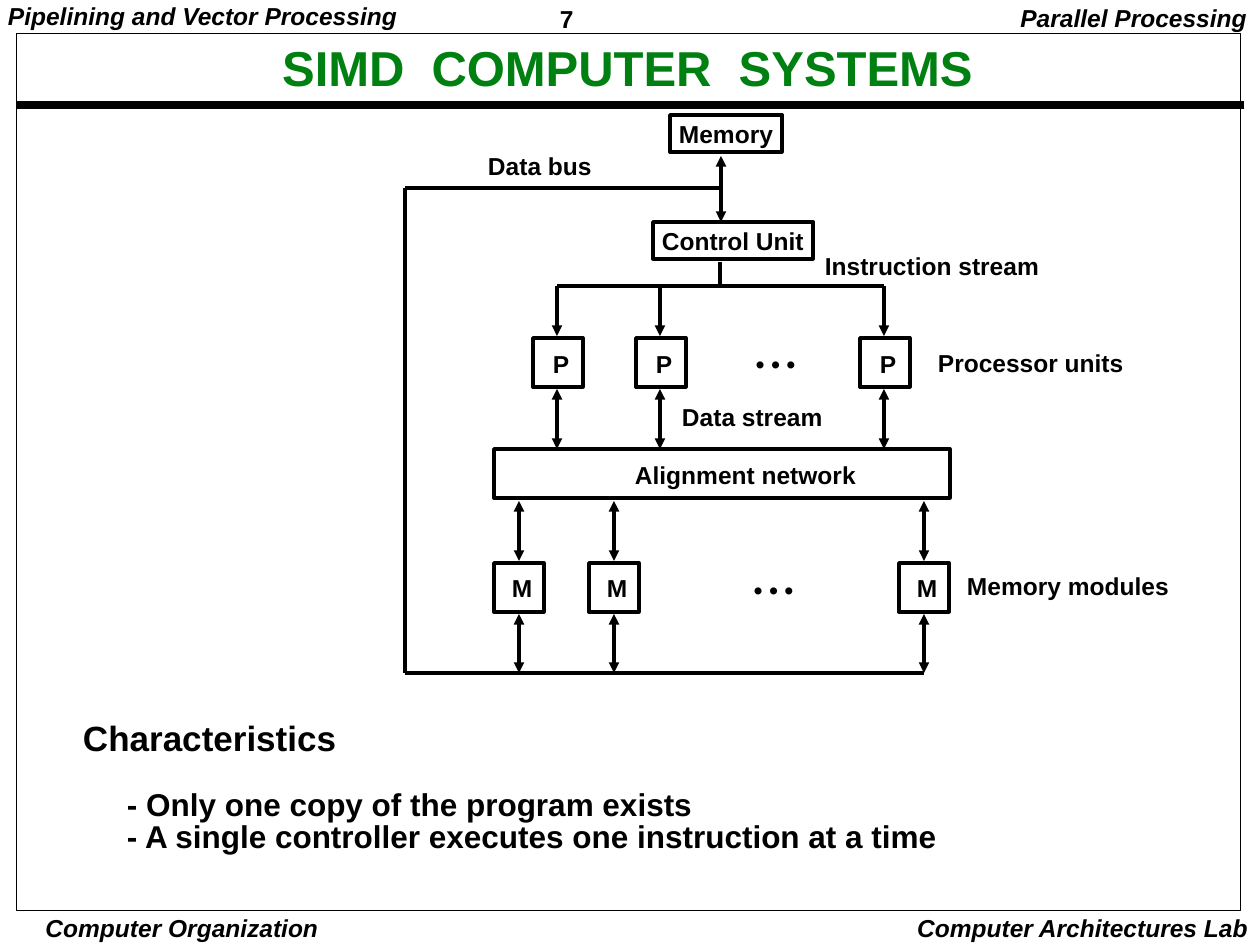
import pptx
import pptx.dml.color
import pptx.enum.shapes
import pptx.enum.text
import pptx.oxml.ns
import pptx.util
from lxml import etree

PX = 914400 // 126
BLACK, GREEN = "000000", "008011"
ALIGN = pptx.enum.text.PP_ALIGN
ANCHOR = pptx.enum.text.MSO_ANCHOR


def px(length):
    """Turn whole pixels into EMU."""
    return pptx.util.Emu(length * PX)


def color(hex_code):
    """Turn a hex string into a colour."""
    return pptx.dml.color.RGBColor.from_string(hex_code)


def write(frame, text, size=14, hue=BLACK, italic=False, align=ALIGN.LEFT,
          anchor=ANCHOR.TOP, spacing=0.9, insets=(9, 4, 0, 4)):
    """Fill a text frame with one formatted paragraph for each line of text."""
    frame.word_wrap = True
    frame.vertical_anchor = anchor
    frame.margin_left, frame.margin_top, frame.margin_right, frame.margin_bottom = map(px, insets)
    frame.text = text
    for paragraph in frame.paragraphs:
        paragraph.alignment = align
        paragraph.line_spacing = spacing
        font = paragraph.font
        font.name, font.size = "Arial", pptx.util.Pt(size)
        font.bold, font.italic = True, italic
        font.color.rgb = color(hue)


def label(slide, text, left, top, width, height=34, **style):
    """Place a text box and return its text frame."""
    caption = slide.shapes.add_textbox(px(left), px(top), px(width), px(height))
    write(caption.text_frame, text, **style)
    return caption.text_frame


def node(slide, left, top, width, height, text="", weight=2, **style):
    """Draw an unfilled outlined rectangle, with text if given."""
    outline = slide.shapes.add_shape(
        pptx.enum.shapes.MSO_SHAPE.RECTANGLE, px(left), px(top), px(width), px(height))
    outline.shadow.inherit = False
    outline.fill.background()
    outline.line.color.rgb = color(BLACK)
    outline.line.width = pptx.util.Pt(weight)
    if text:
        write(outline.text_frame, text, **style)


def link(slide, x1, y1, x2, y2, weight=2, ends=()):
    """Draw a straight line with triangles at the named ends."""
    wire = slide.shapes.add_connector(
        pptx.enum.shapes.MSO_CONNECTOR.STRAIGHT, px(x1), px(y1), px(x2), px(y2))
    wire.line.color.rgb = color(BLACK)
    wire.line.width = pptx.util.Pt(weight)
    for end in ends:
        etree.SubElement(wire.line._ln, pptx.oxml.ns.qn(f"a:{end}"), type="triangle")
    etree.SubElement(wire._element.spPr, pptx.oxml.ns.qn("a:effectLst"))


def page_frame(slide, left, top, width, height):
    """Draw the running heads, the feet, the border and the heading rule."""
    right, bottom = left + width, top + height
    label(slide, "7", left + 551, top, 136, 37, spacing=1.01)
    label(slide, "Pipelining and Vector Processing", left - 1, top, 420, italic=True)
    label(slide, "Parallel Processing", right - 270, top, 270, 39, italic=True,
          align=ALIGN.RIGHT, insets=(0, 6, 13, 6))
    label(slide, "Computer Organization", left + 32, bottom - 33, 300, 33, italic=True,
          align=ALIGN.CENTER, spacing=1.0, insets=(4, 1, 4, 1))
    label(slide, "Computer Architectures Lab", right - 370, bottom - 38, 370, 38, italic=True,
          align=ALIGN.RIGHT, spacing=1.0, insets=(0, 6, 12, 0))
    link(slide, left + 16, top + 105, right - 16, top + 105, weight=4.5)
    node(slide, left + 16, top + 33, width - 35, height - 67, weight=0.5)


def heading(slide, left, top, width, height):
    """Place the slide title."""
    label(slide, "SIMD  COMPUTER  SYSTEMS", left, top, width, height, size=28, hue=GREEN,
          align=ALIGN.CENTER, anchor=ANCHOR.MIDDLE, insets=(9, 4, 9, 4))


def simd_diagram(slide, left, top):
    """Draw memory, control unit, processors, network and memory modules."""
    def wire(x1, y1, x2, y2, ends=()):
        """Draw a line relative to the diagram."""
        link(slide, left + x1, top + y1, left + x2, top + y2, ends=ends)

    both = ("headEnd", "tailEnd")
    processors, modules = (152, 255, 479), (114, 209, 519)
    bus, stream, loop = 75, 173, 560

    for name, x, y, width in (("Memory", 265, 2, 112), ("Control Unit", 248, 109, 160)):
        node(slide, left + x, top + y, width, 37, name, spacing=1.01)
    for x in processors:
        node(slide, left + x - 24, top + 225, 50, 49, "P", insets=(20, 14, 0, 0))
        wire(x, stream, x, 223, ends=("tailEnd",))
        wire(x, 276, x, 336, ends=both)
    node(slide, left + 89, top + 336, 456, 49, "Alignment network", insets=(141, 14, 0, 0))
    for x in modules:
        node(slide, left + x - 25, top + 450, 50, 49, "M", insets=(18, 13, 0, 0))
        wire(x, 388, x, 448, ends=both)
        wire(x, 501, x, loop, ends=both)

    wire(316, 43, 316, 109, ends=both)
    wire(315, 149, 315, stream)
    wire(processors[0], stream, processors[-1], stream)
    wire(modules[-1], loop, 0, loop)
    wire(0, loop, 0, bus)
    wire(0, bus, 316, bus)

    for text, x, y, width in (
            ("Data bus", 74, 37, 130),
            ("Instruction stream", 411, 137, 240),
            ("• • •", 342, 235, 68),
            ("Processor units", 524, 234, 212),
            ("Data stream", 268, 288, 168),
            ("• • •", 340, 461, 68),
            ("Memory modules", 553, 457, 228)):
        label(slide, text, left + x, top + y, width)


def characteristics(slide, left, top, width, height):
    """Place the list of characteristics under its own heading."""
    points = ("Characteristics",
              "- Only one copy of the program exists",
              "- A single controller executes one instruction at a time")
    frame = label(slide, "\n".join(points), left, top, width, height, size=18, spacing=0.85)
    topic, *items = frame.paragraphs
    topic.font.size = pptx.util.Pt(20)
    for item in items:
        item._p.get_or_add_pPr().set("marL", str(px(44)))
    items[0].space_before = pptx.util.Pt(18.5)


def main():
    """Build and save the slide."""
    deck = pptx.Presentation()
    deck.slide_width, deck.slide_height = px(1260), px(945)
    slide = deck.slides.add_slide(deck.slide_layouts[6])
    page_frame(slide, 0, 0, 1260, 945)
    heading(slide, 78, 33, 1099, 76)
    simd_diagram(slide, 405, 113)
    characteristics(slide, 74, 719, 890, 139)
    deck.save("out.pptx")


if __name__ == "__main__":
    main()
